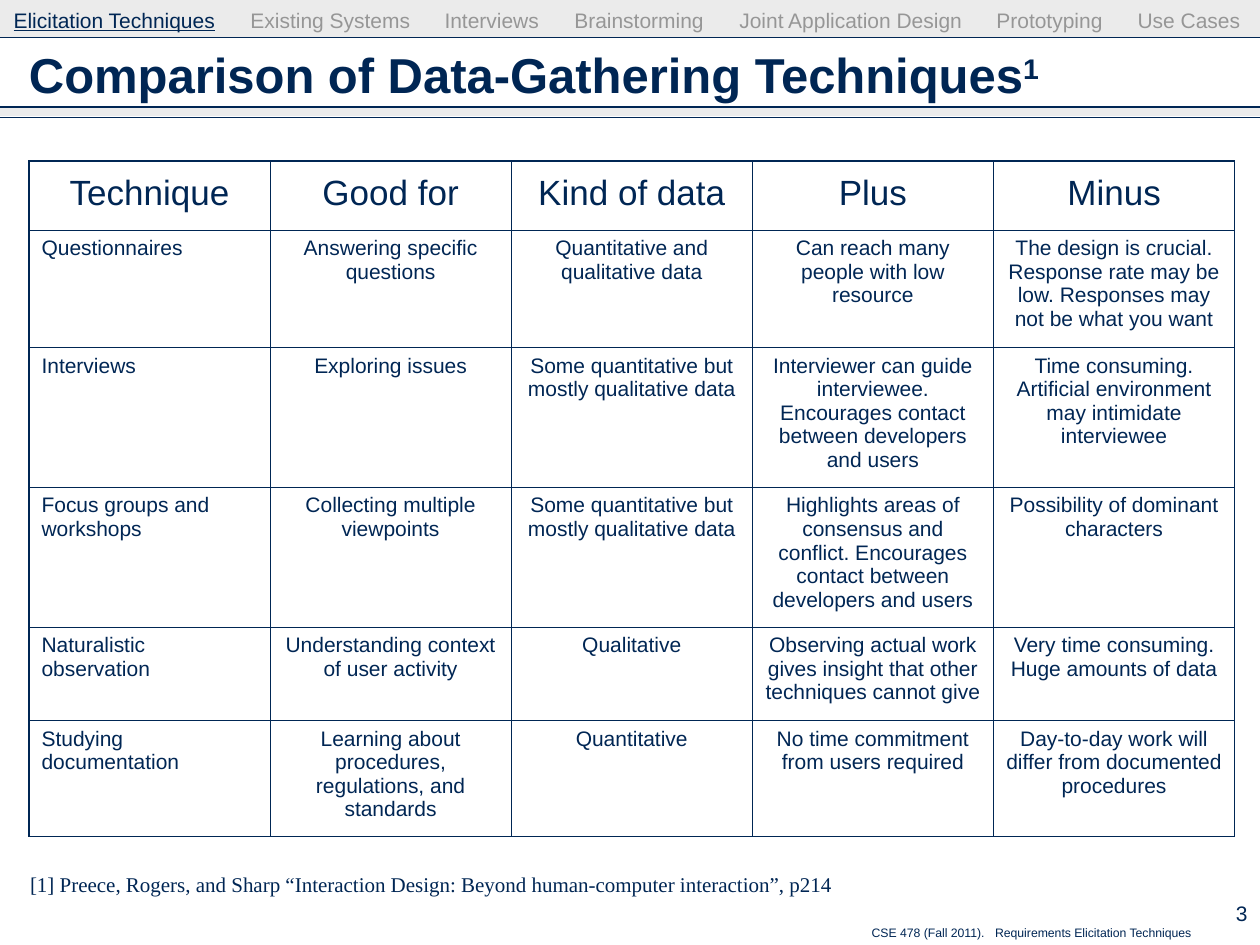
from lxml import etree
from pptx import Presentation
from pptx import util as u
from pptx.dml.color import RGBColor
from pptx.enum import shapes, text
from pptx.oxml import ns

# Content
TITLE = [("Comparison of Data-Gathering Techniques", {}), ("1", {"baseline": "30000"})]
SECTIONS = ["Elicitation Techniques", "Existing Systems", "Interviews", "Brainstorming",
            "Joint Application Design", "Prototyping", "Use Cases"]
CURRENT = SECTIONS[0]
FOOTNOTE = ("[1] Preece, Rogers, and Sharp “Interaction Design: "
            "Beyond human-computer interaction”, p214")
FOOTER = ["CSE 478 (Fall 2011).", "Requirements Elicitation Techniques"]
PAGE = "3"
HEADER = ["Technique", "Good for", "Kind of data", "Plus", "Minus"]
ROWS = [
    ["Questionnaires", "Answering specific questions", "Quantitative and qualitative data",
     "Can reach many people with low resource",
     "The design is crucial. Response rate may be low. Responses may not be what you want"],
    ["Interviews", "Exploring issues", "Some quantitative but mostly qualitative data",
     "Interviewer can guide interviewee. Encourages contact between developers and users",
     "Time consuming. Artificial environment may intimidate interviewee"],
    ["Focus groups and workshops", "Collecting multiple viewpoints",
     "Some quantitative but mostly qualitative data",
     "Highlights areas of consensus and conflict. Encourages contact between "
     "developers and users",
     "Possibility of dominant characters"],
    ["Naturalistic observation", "Understanding context of user activity", "Qualitative",
     "Observing actual work gives insight that other techniques cannot give",
     "Very time consuming. Huge amounts of data"],
    ["Studying documentation", "Learning about procedures, regulations, and standards",
     "Quantitative", "No time commitment from users required",
     "Day-to-day work will differ from documented procedures"],
]

# Theme and layout, lengths in inches
THEME = {
    "navy": "002654", "muted": "969696", "band": "CDCDCD", "band_alpha": 40,
    "sans": "Arial", "serif": "Times New Roman",
    "title": 28, "header": 20, "body": 12, "footer": 7,
    "rule": 0.75, "outer": 1.08, "inner": 0.45,
}
SECTION_STOPS = [1.88, 3.42, 4.45, 5.76, 7.8, 8.92]
FOOTER_STOPS = [0.98]
BANDS = [(0, 0.3), (0.85, 0.07)]
RULES = [0.3, 0.85, 0.93]
TABLE_AT = (0.23, 1.28, 9.57, 5.37)
ROW_HEIGHTS = [0.55, 0.93, 1.11, 1.11, 0.74, 0.92]
ALIGN = text.PP_ALIGN
ANCHOR = text.MSO_ANCHOR


def inches(*values):
    return [u.Inches(v) for v in values]


def rgb(name):
    return RGBColor.from_string(THEME[name])


def add_run(p, words, size="body", color="navy", face="sans", **more):
    r = p.add_run()
    r.text = words
    for key, value in {"name": THEME[face], "size": u.Pt(THEME[size]), **more}.items():
        setattr(r.font, key, value)
    r.font.color.rgb = rgb(color)
    return r


def add_tabs(p, stops):
    tabs = etree.SubElement(p._p.get_or_add_pPr(), ns.qn("a:tabLst"))
    for stop in stops:
        etree.SubElement(tabs, ns.qn("a:tab"), pos=str(u.Inches(stop)), algn="l")


def set_frame(tf, **formats):
    for key, value in {"word_wrap": True, "auto_size": text.MSO_AUTO_SIZE.NONE,
                       **formats}.items():
        setattr(tf, key, value)


def add_text(s, at, align=ALIGN.LEFT, **formats):
    tf = s.shapes.add_textbox(*inches(*at)).text_frame
    set_frame(tf, **formats)
    p = tf.paragraphs[0]
    p.alignment = align
    return p


def add_borders(cell, widths):
    tc_pr = cell._tc.get_or_add_tcPr()
    for side, width in widths.items():
        ln = etree.SubElement(tc_pr, ns.qn("a:ln" + side), w=str(u.Pt(width)))
        fill = etree.SubElement(ln, ns.qn("a:solidFill"))
        etree.SubElement(fill, ns.qn("a:srgbClr"), val=THEME["navy"])


def add_bands(s):
    for top, height in BANDS:
        sp = s.shapes.add_shape(shapes.MSO_SHAPE.RECTANGLE, *inches(0, top, 10, height))
        sp.shadow.inherit = False
        sp.fill.solid()
        sp.fill.fore_color.rgb = rgb("band")
        sp.line.fill.background()
        color = sp._element.spPr.find(".//" + ns.qn("a:srgbClr"))
        etree.SubElement(color, ns.qn("a:alpha"), val=str(THEME["band_alpha"] * 1000))
    for y in RULES:
        rule = s.shapes.add_connector(shapes.MSO_CONNECTOR.STRAIGHT, *inches(0, y, 10, y))
        rule.line.color.rgb = rgb("navy")
        rule.line.width = u.Pt(THEME["rule"])
        etree.SubElement(rule._element.spPr, ns.qn("a:effectLst"))


def add_title(s):
    sp = s.shapes.title
    sp.left, sp.top, sp.width, sp.height = inches(0.13, 0.26, 9.74, 0.66)
    set_frame(sp.text_frame, vertical_anchor=ANCHOR.MIDDLE)
    p = sp.text_frame.paragraphs[0]
    p.alignment = ALIGN.LEFT
    for words, attributes in TITLE:
        r = add_run(p, words, "title", bold=True)
        for key, value in attributes.items():
            r.font._element.set(key, value)


def add_comparison(s):
    grid = [HEADER] + ROWS
    last_row, last_col = len(grid) - 1, len(HEADER) - 1
    table = s.shapes.add_table(len(grid), len(HEADER), *inches(*TABLE_AT)).table
    table.first_row = table.horz_banding = False
    for column in table.columns:
        column.width = u.Inches(TABLE_AT[2] / len(HEADER))
    outer, inner = THEME["outer"], THEME["inner"]
    for i, words in enumerate(grid):
        table.rows[i].height = u.Inches(ROW_HEIGHTS[i])
        for j, word in enumerate(words):
            cell = table.cell(i, j)
            add_borders(cell, {"L": inner if j else outer,
                               "R": outer if j == last_col else inner,
                               "T": inner if i else outer,
                               "B": outer if i == last_row else inner})
            cell.fill.background()
            p = cell.text_frame.paragraphs[0]
            p.alignment = ALIGN.LEFT if i and not j else ALIGN.CENTER
            if i == 0:
                p.line_spacing = u.Pt(26)
            add_run(p, word, "body" if i else "header")


def main():
    prs = Presentation()
    prs.slide_width, prs.slide_height = inches(10, 7.5)
    s = prs.slides.add_slide(prs.slide_layouts[5])
    add_bands(s)
    add_title(s)
    add_comparison(s)

    # Section navigation
    p = add_text(s, (0.01, 0.06, 9.97, 0.25), margin_top=0, margin_right=0)
    add_tabs(p, SECTION_STOPS)
    for i, name in enumerate(SECTIONS):
        if i:
            add_run(p, "\t")
        current = name == CURRENT
        add_run(p, name, color="navy" if current else "muted", underline=current)

    # Footnote, footer and page number
    add_run(add_text(s, (0.14, 6.87, 6.7, 0.29)), FOOTNOTE, face="serif")
    p = add_text(s, (6.82, 7.29, 2.8, 0.21))
    add_tabs(p, FOOTER_STOPS)
    add_run(p, "\t".join(FOOTER), "footer")
    p = add_text(s, (9.3, 7.08, 0.7, 0.34), ALIGN.RIGHT, vertical_anchor=ANCHOR.MIDDLE)
    add_run(p, PAGE)

    prs.save("out.pptx")


if __name__ == "__main__":
    main()
